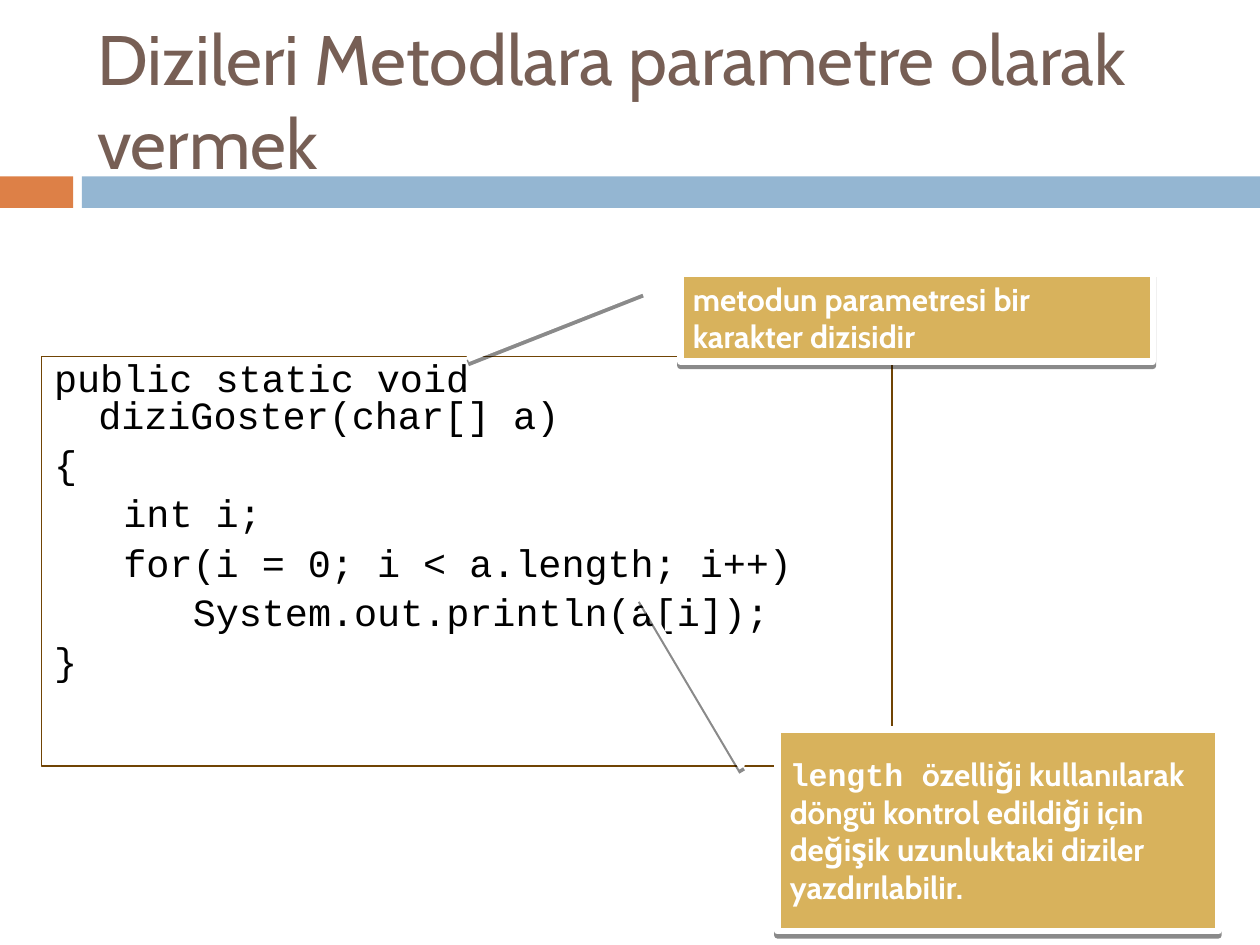
from dataclasses import dataclass

from lxml.etree import SubElement
from pptx import Presentation
from pptx.dml.color import RGBColor
from pptx.enum.shapes import MSO_SHAPE
from pptx.enum.text import MSO_ANCHOR, MSO_AUTO_SIZE, PP_ALIGN
from pptx.oxml.ns import qn
from pptx.util import Inches, Pt


@dataclass(frozen=True)
class Theme:
    orange: str = "DD8047"
    blue: str = "94B6D2"
    gold: str = "D8B25C"
    brown: str = "775F55"
    outline: str = "704404"
    white: str = "FFFFFF"
    black: str = "000000"
    text_font: str = "Cabin"
    code_font: str = "Courier New"
    title_size: int = 40
    code_size: int = 22
    callout_size: int = 18


THEME = Theme()
HANGING = 0.35
CODE_STEP = 3 * 0.6 * THEME.code_size / 72  # three monospaced characters

# Nesting level and text of each code line
CODE = [
    (0, "public static void diziGoster(char[] a)"),
    (0, "{"),
    (1, "int i;"),
    (1, "for(i = 0; i < a.length; i++)"),
    (2, "System.out.println(a[i]);"),
    (0, "}"),
]


def color(value):
    return RGBColor.from_string(value)


def place(shape, left, top, width, height):
    shape.left, shape.top = Inches(left), Inches(top)
    shape.width, shape.height = Inches(width), Inches(height)


def style_font(font, name, size, value, bold=False):
    font.name, font.size, font.bold = name, Pt(size), bold
    font.color.rgb = color(value)


def add_strip(slide, left, width, fill):
    strip = slide.shapes.add_shape(
        MSO_SHAPE.RECTANGLE, Inches(left), Inches(1.4), Inches(width), Inches(0.25))
    strip.shadow.inherit = False
    strip.fill.solid()
    strip.fill.fore_color.rgb = color(fill)
    strip.line.fill.background()
    # Keep the strips behind the title
    slide.shapes.title.element.addprevious(strip.element)


def set_title(slide, text):
    title = slide.shapes.title
    place(title, 0.67, 0.25, 8.92, 1.08)
    frame = title.text_frame
    frame.text = text
    frame.auto_size = MSO_AUTO_SIZE.NONE
    frame.vertical_anchor = MSO_ANCHOR.MIDDLE
    para = frame.paragraphs[0]
    para.alignment = PP_ALIGN.LEFT
    style_font(para.font, THEME.text_font, THEME.title_size, THEME.brown)


def set_code(slide, lines):
    box = slide.placeholders[1]
    place(box, 0.33, 2.83, 6.75, 3.25)
    box.line.color.rgb = color(THEME.outline)
    box.line.width = Pt(0.75)
    frame = box.text_frame
    frame.text = "\n".join(text for _, text in lines)
    frame.auto_size = MSO_AUTO_SIZE.NONE
    for para, (level, _) in zip(frame.paragraphs, lines):
        para.line_spacing = 0.8
        para.space_before = Pt(7)
        style_font(para.font, THEME.code_font, THEME.code_size, THEME.black)
        properties = para._p.get_or_add_pPr()
        margin = level * CODE_STEP if level else HANGING
        properties.set("marL", str(Inches(margin)))
        properties.set("indent", str(Inches(0 if level else -HANGING)))
        properties.insert_element_before(
            properties.makeelement(qn("a:buNone")), "a:tabLst", "a:defRPr")


def add_bottom_shadow(shape):
    shape.shadow.inherit = False
    effects = shape.element.spPr.find(qn("a:effectLst"))
    shadow = SubElement(effects, qn("a:outerShdw"), blurRad="0",
                        dist=str(Pt(2.4)), dir="5400000", rotWithShape="0")
    shade = SubElement(shadow, qn("a:srgbClr"), val=THEME.black)
    SubElement(shade, qn("a:alpha"), val="45000")


def add_callout(slide, bounds, pointer, spans):
    callout = slide.shapes.add_shape(
        MSO_SHAPE.LINE_CALLOUT_1, *[Inches(value) for value in bounds])
    for index, value in enumerate(pointer):
        callout.adjustments[index] = value
    callout.fill.solid()
    callout.fill.fore_color.rgb = color(THEME.gold)
    callout.line.color.rgb = color(THEME.white)
    callout.line.width = Pt(3.75)
    add_bottom_shadow(callout)
    frame = callout.text_frame
    frame.word_wrap = True
    frame.auto_size = MSO_AUTO_SIZE.SHAPE_TO_FIT_TEXT
    frame.vertical_anchor = MSO_ANCHOR.MIDDLE
    para = frame.paragraphs[0]
    para.alignment = PP_ALIGN.LEFT
    for text, font_name in spans:
        span = para.add_run()
        span.text = text
        style_font(span.font, font_name, THEME.callout_size, THEME.white, bold=True)


def main():
    deck = Presentation()
    deck.slide_width, deck.slide_height = Inches(10), Inches(7.5)
    slide = deck.slides.add_slide(deck.slide_layouts[1])

    # Heading and its two-colour band
    add_strip(slide, 0, 0.58, THEME.orange)
    add_strip(slide, 0.65, 9.35, THEME.blue)
    set_title(slide, "Dizileri Metodlara parametre olarak vermek")

    # Code listing
    set_code(slide, CODE)

    # Notes pointing at the parameter and the loop
    add_callout(slide, (5.4, 2.17, 3.75, 0.7), (0.19, -0.08, 0.97, -0.45),
                [("metodun parametresi bir karakter dizisidir", THEME.text_font)])
    add_callout(slide, (6.17, 5.79, 3.5, 1.6), (0.19, -0.08, -0.66, -0.31),
                [("length ", THEME.code_font),
                 ("özelliği kullanılarak döngü kontrol edildiği için değişik "
                  "uzunluktaki diziler yazdırılabilir.", THEME.text_font)])

    deck.save("out.pptx")


if __name__ == "__main__":
    main()
